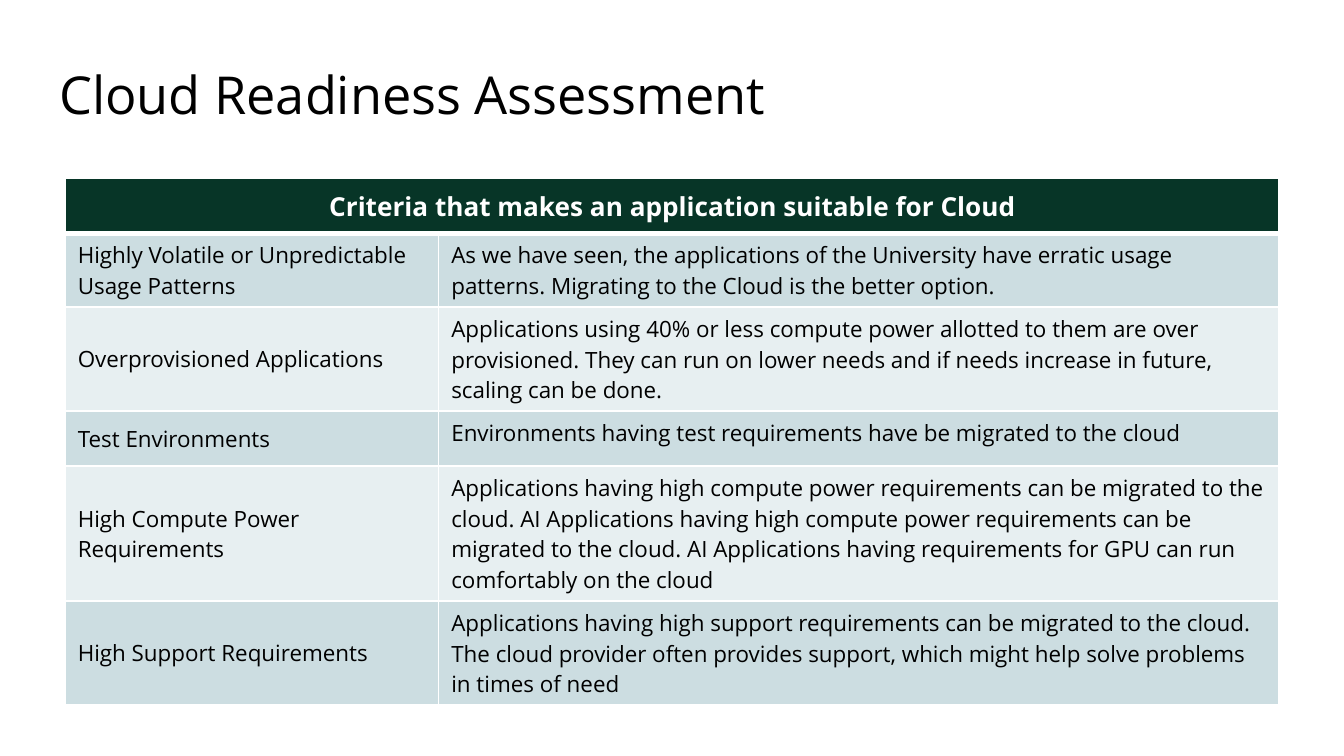
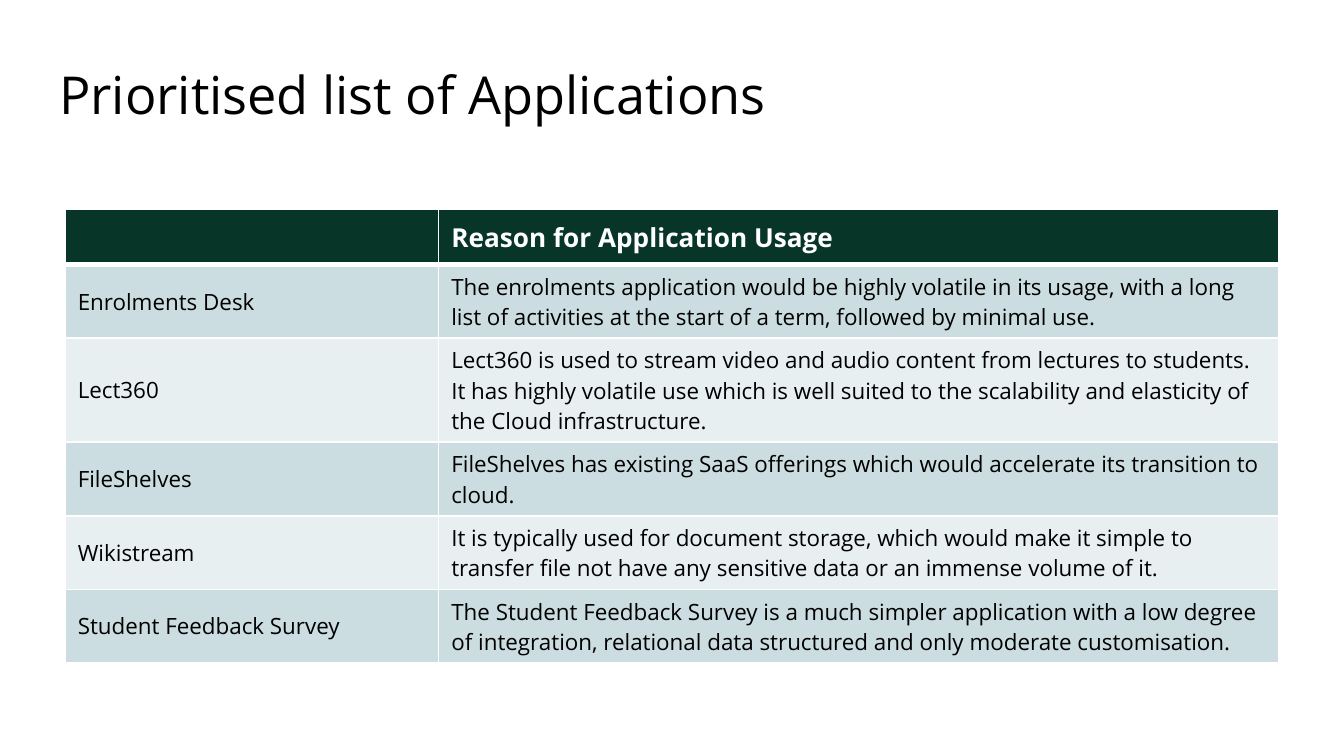
from lxml.etree import SubElement
from pptx import Presentation
from pptx.dml.color import RGBColor
from pptx.enum.text import MSO_ANCHOR, PP_ALIGN
from pptx.oxml.ns import qn
from pptx.util import Cm, Pt

FONT = "Open Sans"
BLACK = RGBColor(0x00, 0x00, 0x00)
WHITE = RGBColor(0xFF, 0xFF, 0xFF)
HEADER_GREEN = RGBColor(0x07, 0x35, 0x27)
BANDS = (RGBColor(0xCC, 0xDD, 0xE1), RGBColor(0xE7, 0xEF, 0xF1))

TITLE_BOX = (Cm(0.87), Cm(0.92), Cm(23.67), Cm(1.6))
TABLE_LEFT = Cm(1.23)
COLUMN_WIDTHS = (Cm(7.06), Cm(15.87))
MIN_ROW_HEIGHT = Cm(1.04)
LINE_HEIGHT = Cm(0.58)
ROW_PADDING = Cm(0.23)

# Each row: name, explanation, number of lines the explanation takes.
CRITERIA_HEADER = ("Criteria that makes an application suitable for Cloud",)
CRITERIA = [
    ("Highly Volatile or Unpredictable Usage Patterns",
     "As we have seen, the applications of the University have erratic usage patterns. "
     "Migrating to the Cloud is the better option.", 2),
    ("Overprovisioned Applications",
     "Applications using 40% or less compute power allotted to them are over provisioned. "
     "They can run on lower needs and if needs increase in future, scaling can be done.", 3),
    ("Test Environments",
     "Environments having test requirements have be migrated to the cloud", 1),
    ("High Compute Power Requirements",
     "Applications having high compute power requirements can be migrated to the cloud. "
     "AI Applications having high compute power requirements can be migrated to the cloud. "
     "AI Applications having requirements for GPU can run comfortably on the cloud", 4),
    ("High Support Requirements",
     "Applications having high support requirements can be migrated to the cloud. "
     "The cloud provider often provides support, which might help solve problems "
     "in times of need", 3),
]

APPLICATIONS_HEADER = ("", "Reason for Application Usage")
APPLICATIONS = [
    ("Enrolments Desk",
     "The enrolments application would be highly volatile in its usage, with a long list "
     "of activities at the start of a term, followed by minimal use.", 2),
    ("Lect360",
     "Lect360 is used to stream video and audio content from lectures to students. "
     "It has highly volatile use which is well suited to the scalability and elasticity "
     "of the Cloud infrastructure.", 3),
    ("FileShelves",
     "FileShelves has existing SaaS offerings which would accelerate its transition to cloud.",
     2),
    ("Wikistream",
     "It is typically used for document storage, which would make it simple to transfer "
     "file not have any sensitive data or an immense volume of it.", 2),
    ("Student Feedback Survey",
     "The Student Feedback Survey is a much simpler application with a low degree of "
     "integration, relational data structured and only moderate customisation.", 2),
]


def write(tf, text, size, color, bold=False):
    tf.text = text
    p = tf.paragraphs[0]
    for r in p.runs:
        r.font.name = FONT
        r.font.size = Pt(size)
        r.font.bold = bold
        r.font.color.rgb = color
    if not text:
        SubElement(p._p, qn("a:endParaRPr"), sz=str(size * 100))


def add_title(s, text, box):
    tf = s.shapes.add_textbox(*box).text_frame
    tf.word_wrap = True
    tf.margin_left = tf.margin_right = tf.margin_top = tf.margin_bottom = Cm(0.25)
    write(tf, text, 28, BLACK)


def style_cell(cell, fill, top_width=1, bottom_width=1):
    """Draw white borders, then fill; the schema wants them in that order."""
    tc_pr = cell._tc.get_or_add_tcPr()
    for side, width in (("L", 1), ("R", 1), ("T", top_width), ("B", bottom_width)):
        ln = SubElement(tc_pr, qn(f"a:ln{side}"), w=str(Pt(width)))
        solid = SubElement(ln, qn("a:solidFill"))
        SubElement(solid, qn("a:srgbClr"), val=str(WHITE))
    cell.fill.solid()
    cell.fill.fore_color.rgb = fill
    cell.margin_left = Cm(0.24)
    cell.margin_right = Cm(0.2)


def add_table(s, header, rows, left, top):
    """Add a two-column table; a single header text spans both columns."""
    heights = [MIN_ROW_HEIGHT] + [max(MIN_ROW_HEIGHT, ROW_PADDING + LINE_HEIGHT * lines)
                                  for _, _, lines in rows]
    table = s.shapes.add_table(len(heights), len(COLUMN_WIDTHS), left, top,
                               sum(COLUMN_WIDTHS), sum(heights)).table
    table.first_row = table.horz_banding = False
    for column, width in zip(table.columns, COLUMN_WIDTHS):
        column.width = width
    for row, height in zip(table.rows, heights):
        row.height = height

    for cell in table.rows[0].cells:
        style_cell(cell, HEADER_GREEN, bottom_width=3)
    for cell, text in zip(table.rows[0].cells, header):
        cell.vertical_anchor = MSO_ANCHOR.MIDDLE
        write(cell.text_frame, text, 14, WHITE, bold=True)
    if len(header) == 1:
        first = table.cell(0, 0)
        first.merge(table.cell(0, 1))
        first.text_frame.paragraphs[0].alignment = PP_ALIGN.CENTER

    for i, (name, explanation, _) in enumerate(rows):
        cells = table.rows[i + 1].cells
        for cell, text in zip(cells, (name, explanation)):
            style_cell(cell, BANDS[i % 2], top_width=1 if i else 3)
            write(cell.text_frame, text, 12, BLACK)
        cells[0].vertical_anchor = MSO_ANCHOR.MIDDLE


def add_table_slide(prs, title, header, rows, table_top):
    s = prs.slides.add_slide(prs.slide_layouts[6])
    add_title(s, title, TITLE_BOX)
    add_table(s, header, rows, TABLE_LEFT, table_top)


def main():
    prs = Presentation()
    prs.slide_width, prs.slide_height = Cm(25.4), Cm(14.29)
    add_table_slide(prs, "Cloud Readiness Assessment",
                    CRITERIA_HEADER, CRITERIA, Cm(3.37))
    add_table_slide(prs, "Prioritised list of Applications",
                    APPLICATIONS_HEADER, APPLICATIONS, Cm(3.96))
    prs.save("out.pptx")


if __name__ == "__main__":
    main()
